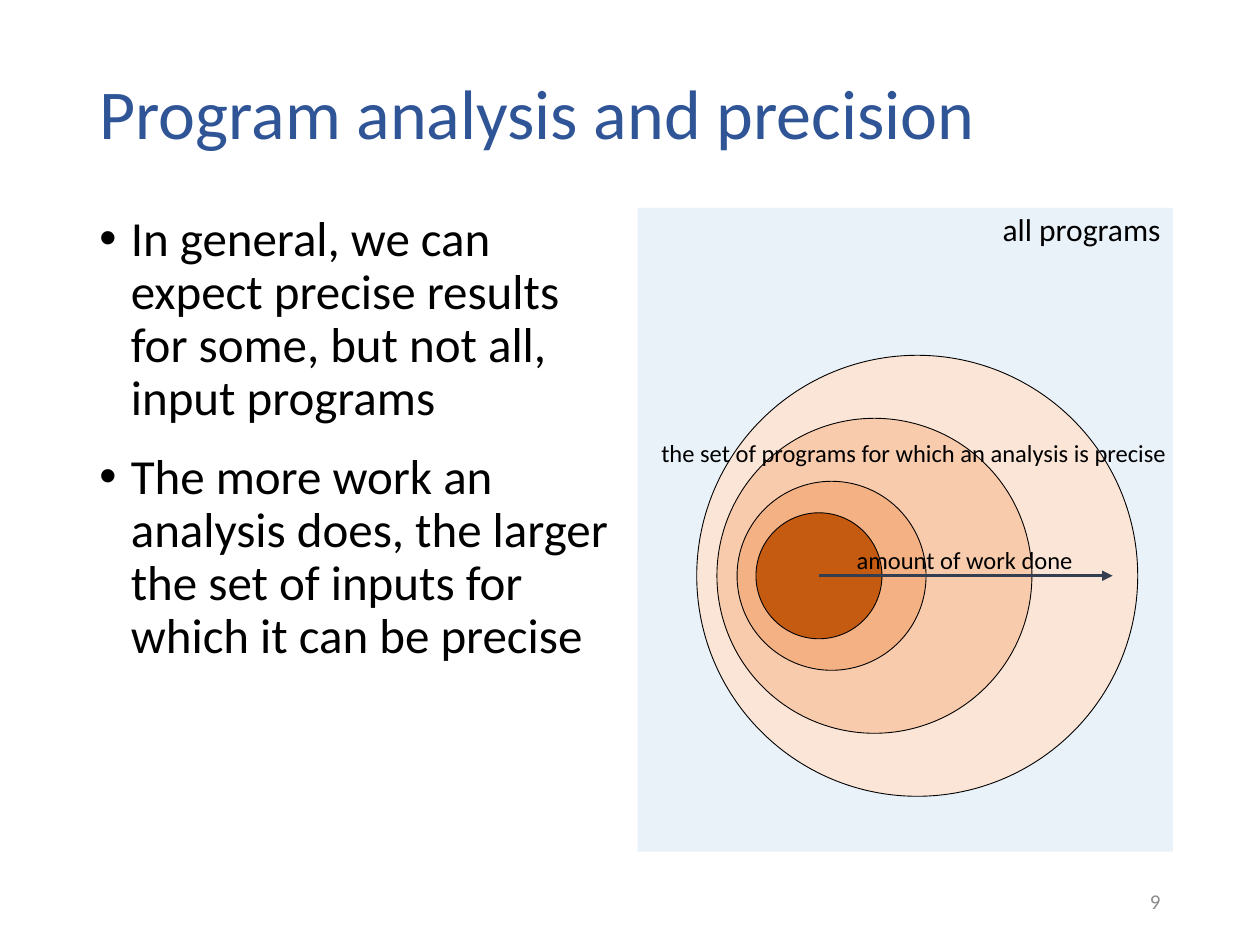
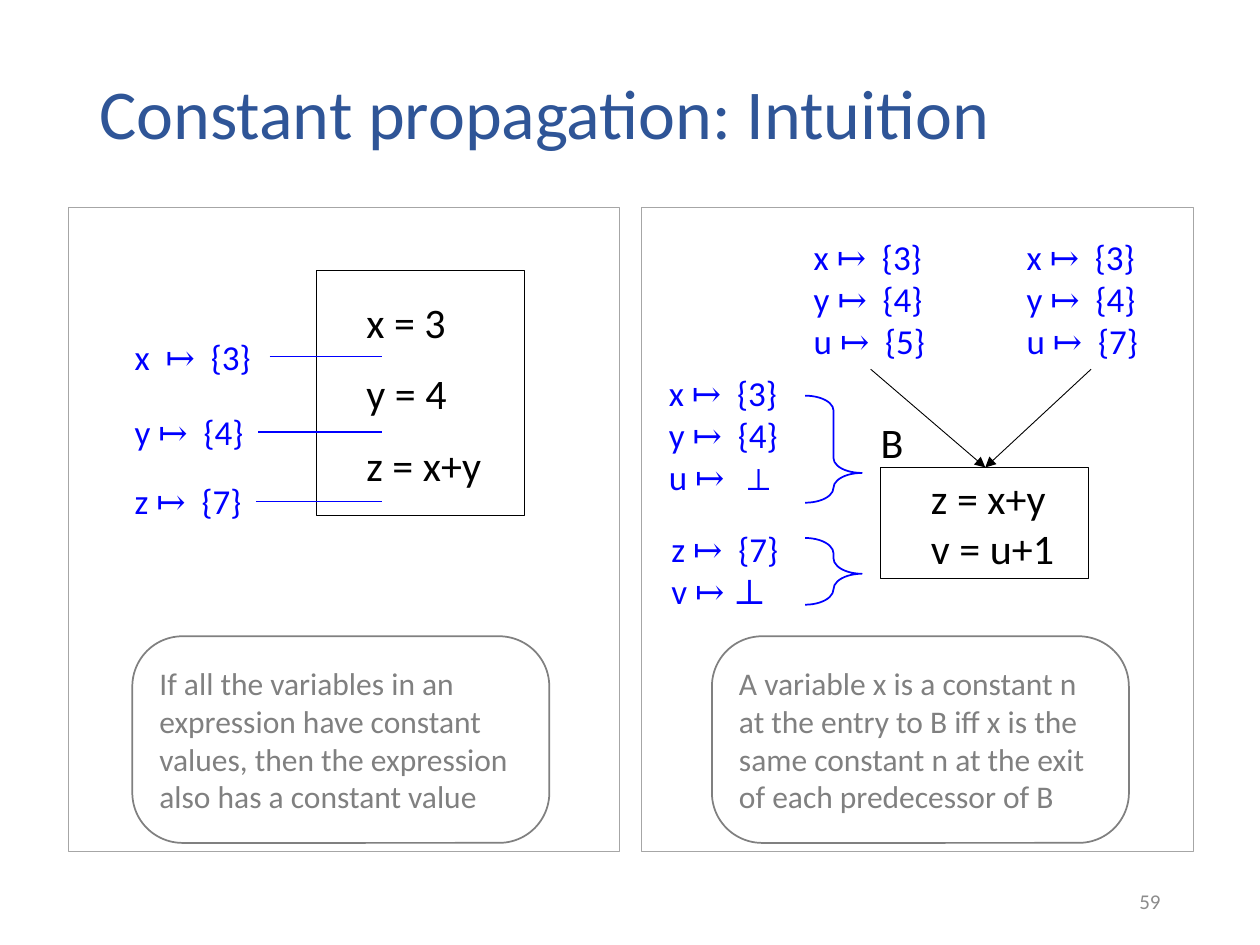
"""Build two slides on the precision of program analysis and on constant propagation."""
from typing import NamedTuple, Optional

from lxml.etree import SubElement
from pptx import Presentation
from pptx.dml.color import RGBColor
from pptx.enum.shapes import MSO_CONNECTOR as Connector, MSO_SHAPE as Preset
from pptx.enum.text import MSO_ANCHOR as Anchor, MSO_AUTO_SIZE as AutoSize, PP_ALIGN as Align
from pptx.oxml.ns import qn
from pptx.util import Inches, Pt

SANS, SERIF = "Calibri", "Times New Roman"
BLACK, TITLE_BLUE, FACT_BLUE = "000000", "2F5597", "0000FF"
NOTE_GREY, FRAME_GREY, NUMBER_GREY = "808080", "A6A6A6", "8C8C8C"
ARROW_SLATE, PANEL_BLUE = "333F50", "DEEBF7"
MAPS_TO, UNKNOWN = "\u21a6", "\u22a5"
SPACE_WIDTH = 4.5


class Box(NamedTuple):
    """Position and size in inches."""
    left: float
    top: float
    width: float
    height: float

    def lengths(self) -> list:
        return [Inches(side) for side in self]


class Span(NamedTuple):
    """Text in one font, with extra points after each character."""
    text: str
    font: str = SANS
    tracking: float = 0


class Circle(NamedTuple):
    """One set of programs, drawn around the shared axis."""
    left: float
    size: float
    color: str


class Fact(NamedTuple):
    """What is known about one variable."""
    variable: str
    value: str
    lead: float = 0
    gap: float = SPACE_WIDTH

    def spans(self) -> list:
        value_font = SERIF if self.value == UNKNOWN else SANS
        return [Span(self.variable, tracking=self.lead), Span(" "),
                Span(MAPS_TO, SERIF, self.gap), Span(f" {self.value}", value_font)]


class FactGroup(NamedTuple):
    """Facts that hold at one program point."""
    box: Box
    facts: list


class Brace(NamedTuple):
    """A brace that ties facts to a block, with its curl and tip."""
    box: Box
    curl: float
    tip: float


def rgb(code: str) -> RGBColor:
    """Turn a hex string into a colour."""
    return RGBColor.from_string(code)


def write(frame, paragraphs: list, *, size: float, color: str = BLACK, align=Align.LEFT,
          anchor=Anchor.TOP, wrap: bool = True, line_spacing: Optional[float] = None,
          before: float = 0, after: float = 0, margin: float = 0, bullet: str = "") -> None:
    """Fill a text frame; a paragraph is a string or a list of spans."""
    frame.auto_size = AutoSize.NONE
    frame.word_wrap = wrap
    frame.vertical_anchor = anchor
    for index, content in enumerate(paragraphs):
        paragraph = frame.add_paragraph() if index else frame.paragraphs[0]
        paragraph.alignment = align
        paragraph.line_spacing = line_spacing
        paragraph.space_before, paragraph.space_after = Pt(before), Pt(after)
        properties = paragraph._p.get_or_add_pPr()
        if margin:
            properties.set("marL", str(Inches(margin)))
        if bullet:
            properties.set("indent", str(-Inches(margin)))
            SubElement(properties, qn("a:buFont")).set("typeface", "Arial")
            SubElement(properties, qn("a:buChar")).set("char", bullet)
        for span in [Span(content)] if isinstance(content, str) else content:
            run = paragraph.add_run()
            run.text = span.text
            run.font.name, run.font.size = span.font, Pt(size)
            run.font.color.rgb = rgb(color)
            if span.tracking:
                run.font._element.set("spc", str(int(span.tracking * 100)))


def add_text(slide, box: Box, paragraphs: list, **text_format) -> None:
    """Add a text box with formatted text."""
    write(slide.shapes.add_textbox(*box.lengths()).text_frame, paragraphs, **text_format)


def add_figure(slide, preset, box: Box, *, fill: str = "", line: str = "",
               weight: float = 0.5, adjust: tuple = ()):
    """Add a flat preset shape."""
    figure = slide.shapes.add_shape(preset, *box.lengths())
    figure.shadow.inherit = False
    if fill:
        figure.fill.solid()
        figure.fill.fore_color.rgb = rgb(fill)
    else:
        figure.fill.background()
    if line:
        figure.line.color.rgb = rgb(line)
        figure.line.width = Pt(weight)
    else:
        figure.line.fill.background()
    for index, amount in enumerate(adjust):
        figure.adjustments[index] = amount
    return figure


def add_line(slide, start: tuple, end: tuple, color: str, weight: float,
             arrow: bool = False) -> None:
    """Add a straight line, with an arrowhead at its end on request."""
    ends = [Inches(value) for value in (*start, *end)]
    connector = slide.shapes.add_connector(Connector.STRAIGHT, *ends)
    connector.line.color.rgb = rgb(color)
    connector.line.width = Pt(weight)
    if arrow:
        SubElement(connector.line._get_or_add_ln(), qn("a:tailEnd")).set("type", "triangle")
    SubElement(connector._element.spPr, qn("a:effectLst"))


def start_slide(deck, title: str, number: int):
    """Add a slide with its title and number."""
    slide = deck.slides.add_slide(deck.slide_layouts[5])
    heading = slide.shapes.title
    heading.left, heading.top, heading.width, heading.height = Box(0.69, 0.4, 8.62, 1.05).lengths()
    write(heading.text_frame, [title], size=40, color=TITLE_BLUE,
          anchor=Anchor.MIDDLE, line_spacing=0.9)
    add_text(slide, Box(7.06, 6.95, 2.25, 0.4), [str(number)], size=12,
             color=NUMBER_GREY, align=Align.RIGHT, anchor=Anchor.MIDDLE)
    return slide


def add_code_block(slide, box: Box, statements: list, gap: float = 0) -> None:
    """Add a framed block of program statements."""
    block = add_figure(slide, Preset.RECTANGLE, box, line=BLACK)
    write(block.text_frame, statements, size=24, anchor=Anchor.MIDDLE,
          before=gap, after=gap, margin=0.3)


def add_facts(slide, group: FactGroup) -> None:
    """Add a list of facts."""
    add_text(slide, group.box, [fact.spans() for fact in group.facts],
             size=20, color=FACT_BLUE, wrap=False)


def build_precision(deck) -> None:
    """Draw the growing sets of programs with precise results."""
    slide = start_slide(deck, "Program analysis and precision", 9)
    body = {"line_spacing": 0.9, "before": 10, "after": 5}
    add_text(slide, Box(0.69, 1.65, 4.25, 5.11), [
        "In general, we can expect precise results for some, but not all, input programs",
        "The more work an analysis does, the larger the set of inputs for which it can be precise",
    ], size=28, margin=0.25, bullet="\u2022", **body)
    universe = add_figure(slide, Preset.RECTANGLE, Box(5.06, 1.65, 4.25, 5.11), fill=PANEL_BLUE)
    tint = universe.fill._xPr.find(qn("a:solidFill"))[0]
    SubElement(tint, qn("a:alpha")).set("val", "65000")
    write(universe.text_frame, ["all programs"], size=18, align=Align.RIGHT, **body)

    axis = 4.57
    for circle in (Circle(5.53, 3.5, "FBE5D6"), Circle(5.69, 2.5, "F8CBAD"),
                   Circle(5.85, 1.5, "F4B183"), Circle(6, 1, "C55A11")):
        area = Box(circle.left, axis - circle.size / 2, circle.size, circle.size)
        add_figure(slide, Preset.OVAL, area, fill=circle.color, line=BLACK)
    add_line(slide, (6.5, axis), (8.83, axis), ARROW_SLATE, 1.5, arrow=True)
    add_text(slide, Box(6.7, 4.28, 1.93, 0.34), ["amount of work done"], size=14, wrap=False)
    add_text(slide, Box(5.15, 3.43, 4.25, 0.34),
             ["the set of programs for which an analysis is precise"], size=14, wrap=False)


def build_intuition(deck) -> None:
    """Draw constant propagation inside a block and across a join."""
    slide = start_slide(deck, "Constant propagation: Intuition", 59)
    notes = {
        1.05: "If all the variables in an expression have constant values, "
              "then the expression also has a constant value",
        5.65: "A variable x is a constant n at the entry to B iff x is the "
              "same constant n at the exit of each predecessor of B",
    }
    for frame_left, (note_left, note) in zip((0.54, 5.09), notes.items()):
        add_figure(slide, Preset.RECTANGLE, Box(frame_left, 1.65, 4.38, 5.11), line=FRAME_GREY)
        bubble = add_figure(slide, Preset.ROUNDED_RECTANGLE, Box(note_left, 5.05, 3.31, 1.64),
                            line=NOTE_GREY, weight=1, adjust=(0.243,))
        write(bubble.text_frame, [note], size=18, color=NOTE_GREY, anchor=Anchor.MIDDLE)

    add_code_block(slide, Box(2.51, 2.15, 1.65, 1.94), ["x = 3", "y = 4", "z = x+y"], gap=6)
    for top, width, fact in ((2.61, 1.17, Fact("x", "{3}", lead=SPACE_WIDTH)),
                             (3.21, 1.08, Fact("y", "{4}")), (3.76, 1.06, Fact("z", "{7}"))):
        add_facts(slide, FactGroup(Box(0.97, top, width, 0.44), [fact]))
        add_line(slide, (0.97 + width, top + 0.22), (3.03, top + 0.22), FACT_BLUE, 1)

    add_code_block(slide, Box(6.99, 3.71, 1.65, 0.88), ["z = x+y", "v = u+1"])
    add_text(slide, Box(6.89, 3.26, 0.38, 0.5), ["B"], size=24, wrap=False)
    for exit_x in (6.91, 8.66):
        add_line(slide, (exit_x, 2.93), (7.82, 3.71), BLACK, 0.5, arrow=True)

    shared = [Fact("x", "{3}"), Fact("y", "{4}")]
    for group in (
        FactGroup(Box(6.36, 1.82, 1.1, 1.11), [*shared, Fact("u", "{5}")]),
        FactGroup(Box(8.05, 1.82, 1.1, 1.11), [*shared, Fact("u", "{7}")]),
        FactGroup(Box(5.21, 2.9, 1.1, 1.11), [*shared, Fact("u", UNKNOWN)]),
        FactGroup(Box(5.23, 4.14, 1.06, 0.77), [Fact("z", "{7}"), Fact("v", UNKNOWN, gap=0)]),
    ):
        add_facts(slide, group)
    for brace in (Brace(Box(6.39, 3.14, 0.45, 0.85), 0.392, 0.722),
                  Brace(Box(6.39, 4.27, 0.45, 0.53), 0.392, 0.536)):
        add_figure(slide, Preset.RIGHT_BRACE, brace.box, line=FACT_BLUE, weight=1,
                   adjust=(brace.curl, brace.tip))


def main() -> None:
    """Build and save the deck."""
    deck = Presentation()
    deck.slide_width, deck.slide_height = Inches(10), Inches(7.5)
    build_precision(deck)
    build_intuition(deck)
    deck.save("out.pptx")


main()
